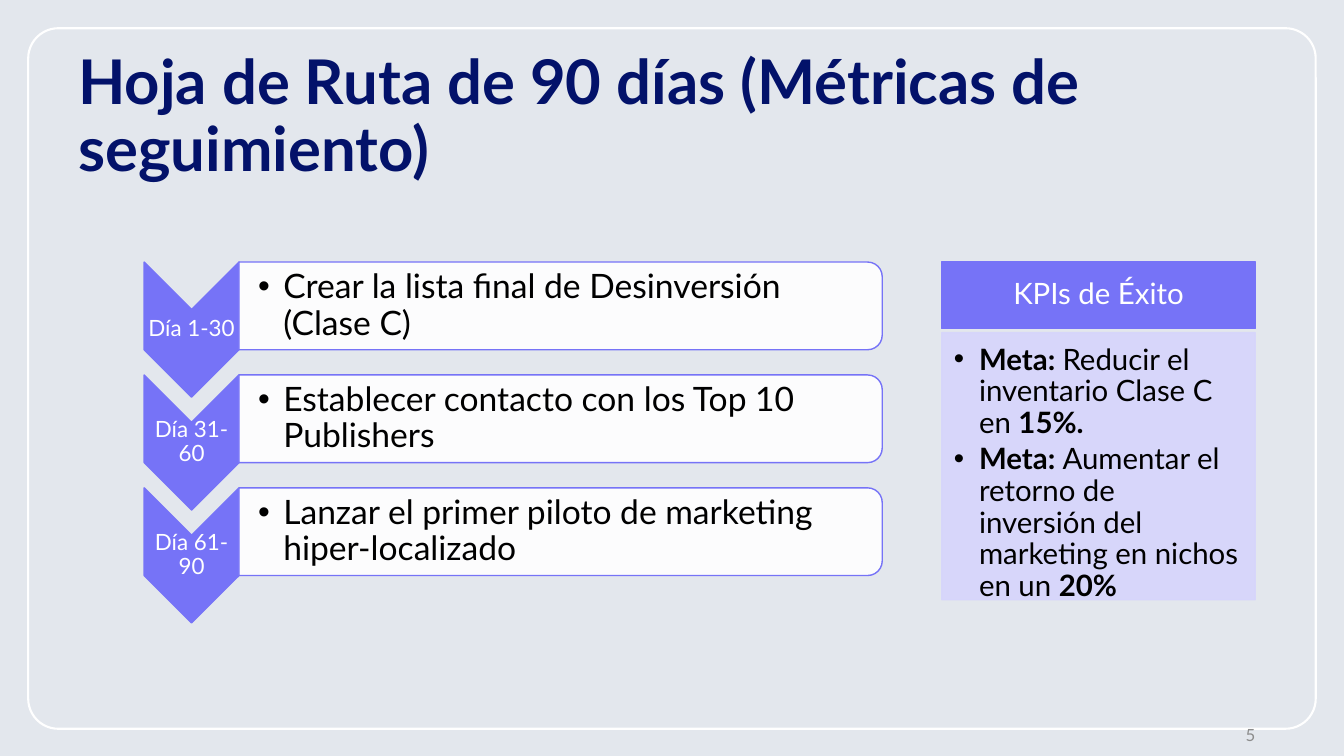
from lxml import etree
from pptx import Presentation
from pptx.dml.color import RGBColor
from pptx.enum.shapes import MSO_SHAPE
from pptx.enum.text import MSO_ANCHOR, PP_ALIGN
from pptx.oxml.ns import qn
from pptx.util import Inches, Pt

BACKGROUND = RGBColor(0xE3, 0xE7, 0xED)
WHITE = RGBColor(0xFF, 0xFF, 0xFF)
BLACK = RGBColor(0, 0, 0)
NAVY = RGBColor(0x03, 0x12, 0x6A)
VIOLET = RGBColor(0x76, 0x73, 0xF7)
LAVENDER = RGBColor(0xD6, 0xD5, 0xFC)
GRAY = RGBColor(0x8C, 0x8C, 0x8C)

FONT = "Lato"
SIDE_NAMES = ("margin_left", "margin_top", "margin_right", "margin_bottom")
DEFAULT_MARGINS = (0.1, 0.05, 0.1, 0.05)
STAGE_TOP = 2.6
STAGE_STEP = 1.12
STAGES = [
    ("Día 1-30", "Crear la lista final de Desinversión (Clase C)"),
    ("Día 31-60", "Establecer contacto con los Top 10 Publishers"),
    ("Día 61-90", "Lanzar el primer piloto de marketing hiper-localizado"),
]
# Each goal is a list of (text, bold) spans.
GOALS = [
    [("Meta: ", True), ("Reducir el inventario Clase C en ", False), ("15%.", True)],
    [("Meta: ", True),
     ("Aumentar el retorno de inversión del marketing en nichos en un ", False),
     ("20%", True)],
]


def add_panel(page, kind, left, top, width, height, fill, line, line_width=1):
    panel = page.shapes.add_shape(
        kind, Inches(left), Inches(top), Inches(width), Inches(height))
    panel.shadow.inherit = False
    if fill is None:
        panel.fill.background()
    else:
        panel.fill.solid()
        panel.fill.fore_color.rgb = fill
    panel.line.color.rgb = line
    panel.line.width = Pt(line_width)
    return panel


def add_turned_panel(page, kind, left, top, width, height, fill, line):
    """Add a panel turned by 90 degrees; the box given is the one seen on the page."""
    shift = (width - height) / 2
    panel = add_panel(page, kind, left + shift, top - shift, height, width, fill, line)
    panel.rotation = 90
    return panel


def set_opacity(panel, percent, tags):
    """Make the solid fills found under the given tags of the panel translucent."""
    for tag in tags:
        color = panel.element.spPr.find(f"{tag}/{qn('a:srgbClr')}")
        etree.SubElement(color, qn("a:alpha"), val=str(percent * 1000))


def add_bullet(paragraph):
    properties = paragraph._p.get_or_add_pPr()
    properties.set("marL", str(Inches(0.25)))
    properties.set("indent", str(-Inches(0.25)))
    etree.SubElement(properties, qn("a:buFont"), typeface="Arial")
    etree.SubElement(properties, qn("a:buChar"), char="•")


def add_text(page, left, top, width, height, paragraphs, size, color, *,
             margins=DEFAULT_MARGINS, anchor=MSO_ANCHOR.MIDDLE,
             align=PP_ALIGN.LEFT, bulleted=False, space_after=0):
    box = page.shapes.add_textbox(
        Inches(left), Inches(top), Inches(width), Inches(height))
    frame = box.text_frame
    frame.word_wrap = True
    frame.vertical_anchor = anchor
    for name, margin in zip(SIDE_NAMES, margins):
        setattr(frame, name, Inches(margin))
    for index, spans in enumerate(paragraphs):
        paragraph = frame.add_paragraph() if index else frame.paragraphs[0]
        layout = {"alignment": align, "line_spacing": 0.9,
                  "space_after": Pt(space_after)}
        for name, value in layout.items():
            setattr(paragraph, name, value)
        if bulleted:
            add_bullet(paragraph)
        for text, bold in spans:
            span = paragraph.add_run()
            span.text = text
            look = {"name": FONT, "size": Pt(size), "bold": bold}
            for name, value in look.items():
                setattr(span.font, name, value)
            span.font.color.rgb = color


def add_stage(page, top, days, task):
    add_turned_panel(page, MSO_SHAPE.CHEVRON, 1.43, top, 0.94, 1.34, VIOLET, VIOLET)
    add_text(page, 1.43, top + 0.47, 0.94, 0.4, [[(days, False)]], 16, WHITE,
             margins=(0.01,) * 4, align=PP_ALIGN.CENTER)
    bar = add_turned_panel(page, MSO_SHAPE.ROUND_2_SAME_RECTANGLE,
                           2.37, top, 6.38, 0.87, WHITE, VIOLET)
    set_opacity(bar, 90, [qn("a:solidFill")])
    add_text(page, 2.37, top + 0.04, 6.34, 0.79, [[(task, False)]], 24, BLACK,
             margins=(0.19, 0.02, 0.02, 0.02), bulleted=True)


def add_goals(page):
    left, width = 9.34, 3.11
    header = (left, 2.6, width, 0.66)
    body = (left, 3.3, width, 2.65)
    add_panel(page, MSO_SHAPE.RECTANGLE, *header, VIOLET, VIOLET)
    add_text(page, *header, [[("KPIs de Éxito", False)]], 21, WHITE,
             margins=(0.16, 0.09, 0.16, 0.09), align=PP_ALIGN.CENTER)
    panel = add_panel(page, MSO_SHAPE.RECTANGLE, *body, LAVENDER, LAVENDER)
    set_opacity(panel, 90, [qn("a:solidFill"), f"{qn('a:ln')}/{qn('a:solidFill')}"])
    add_text(page, *body, GOALS, 21, BLACK, margins=(0.12, 0.12, 0.16, 0.18),
             anchor=MSO_ANCHOR.TOP, bulleted=True, space_after=3)


def main():
    deck = Presentation()
    deck.slide_width, deck.slide_height = Inches(13.33), Inches(7.5)
    page = deck.slides.add_slide(deck.slide_layouts[6])
    page.background.fill.solid()
    page.background.fill.fore_color.rgb = BACKGROUND

    border = add_panel(page, MSO_SHAPE.ROUNDED_RECTANGLE,
                       0.28, 0.28, 12.77, 6.95, None, WHITE, 1.5)
    border.adjustments[0] = 0.043
    add_text(page, 0.68, 0.07, 11.24, 1.81,
             [[("Hoja de Ruta de 90 días (Métricas de seguimiento)", True)]],
             44, NAVY, anchor=MSO_ANCHOR.BOTTOM)
    add_goals(page)
    add_text(page, 9.55, 7.18, 3, 0.25, [[("5", False)]], 12, GRAY,
             align=PP_ALIGN.RIGHT)
    for index, (days, task) in enumerate(STAGES):
        add_stage(page, STAGE_TOP + index * STAGE_STEP, days, task)
    deck.save("out.pptx")


if __name__ == "__main__":
    main()
